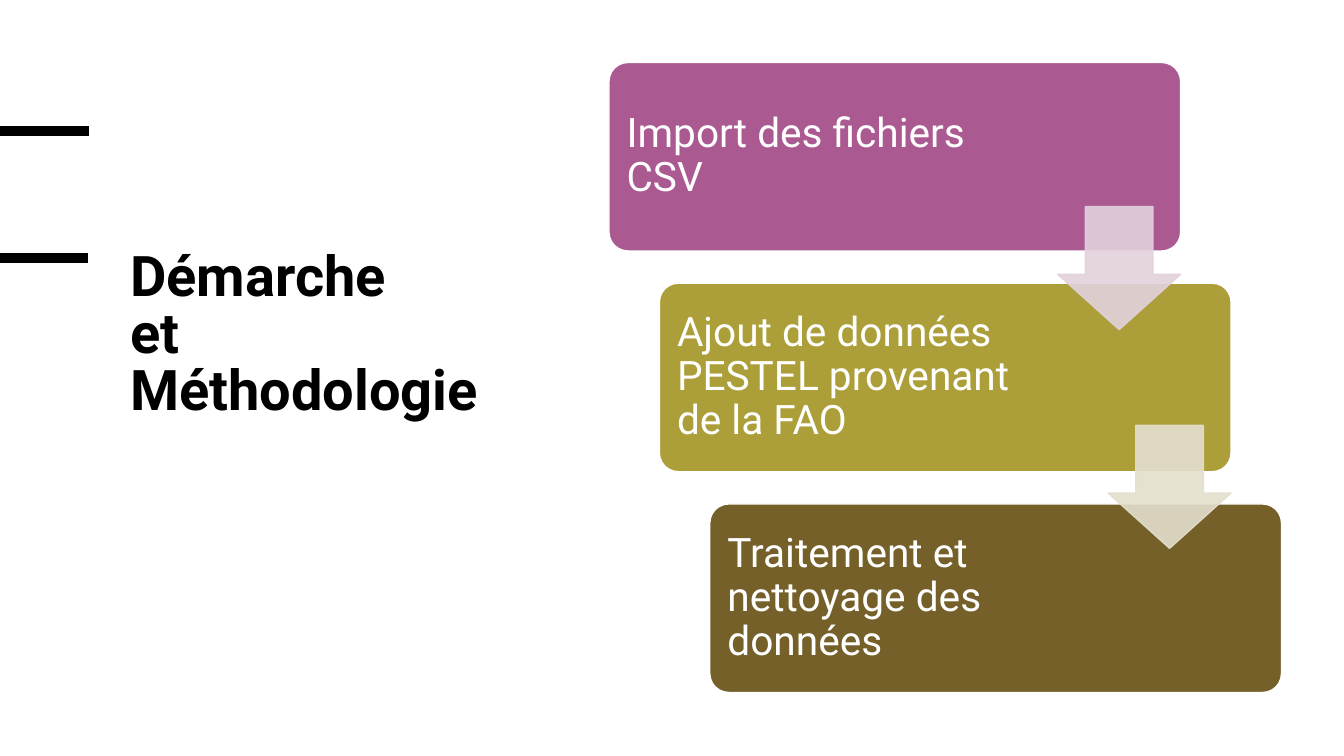
"""Build the "Démarche et Méthodologie" slide with its three-step staircase."""
from lxml import etree
from pptx import Presentation
from pptx.dml.color import RGBColor
from pptx.enum.shapes import MSO_CONNECTOR, MSO_SHAPE
from pptx.enum.text import MSO_ANCHOR, MSO_AUTO_SIZE, PP_ALIGN
from pptx.oxml.ns import qn
from pptx.util import Inches, Pt

STRAIGHT = MSO_CONNECTOR.STRAIGHT
ROUNDED = MSO_SHAPE.ROUNDED_RECTANGLE
DOWN_ARROW = MSO_SHAPE.DOWN_ARROW
TOP, MIDDLE = MSO_ANCHOR.TOP, MSO_ANCHOR.MIDDLE
NO_AUTO_SIZE = MSO_AUTO_SIZE.NONE
LEFT = PP_ALIGN.LEFT

STEP_X, STEP_Y = 0.5, 2.19
STEPS = [
    ("Import des fichiers CSV", "AB5991"),
    ("Ajout de données PESTEL provenant de la FAO", "AC9F39"),
    ("Traitement et nettoyage des données", "756029"),
]
ARROW_COLORS = ["E2D1DC", "E3DFCE"]


def color(value):
    return RGBColor.from_string(value)


def format_text(text_frame, size, text_color, spacing, bold=False):
    text_frame.word_wrap = True
    text_frame.auto_size = NO_AUTO_SIZE
    for paragraph in text_frame.paragraphs:
        paragraph.alignment = LEFT
        paragraph.line_spacing = spacing
        for run in paragraph.runs:
            run.font.name = "Roboto"
            run.font.size = Pt(size)
            run.font.bold = bold
            run.font.color.rgb = color(text_color)


presentation = Presentation()
presentation.slide_width = Inches(13.33)
presentation.slide_height = Inches(7.5)
slide = presentation.slides.add_slide(presentation.slide_layouts[5])

title = slide.shapes.title
title.left, title.top = Inches(1.19), Inches(2.44)
title.width, title.height = Inches(4.16), Inches(3.67)
title.text_frame.text = "Démarche\vet Méthodologie"
title.text_frame.vertical_anchor = TOP
format_text(title.text_frame, 40, "000000", 0.85, bold=True)

for start, top in [(0, 1.3), (-0.01, 2.56)]:
    bar = slide.shapes.add_connector(
        STRAIGHT, Inches(start), Inches(top), Inches(start + 0.88), Inches(top))
    bar.line.color.rgb = color("000000")
    bar.line.width = Pt(6.75)
    etree.SubElement(bar.element.spPr, qn("a:effectLst"))

for index, (label, fill) in enumerate(STEPS):
    card = slide.shapes.add_shape(
        ROUNDED, Inches(6.04 + index * STEP_X), Inches(0.62 + index * STEP_Y),
        Inches(5.67), Inches(1.87))
    card.adjustments[0] = 0.1
    card.shadow.inherit = False
    card.fill.solid()
    card.fill.fore_color.rgb = color(fill)
    card.line.color.rgb = color("FFFFFF")
    card.line.width = Pt(1)
    text_frame = card.text_frame
    text_frame.text = label
    text_frame.vertical_anchor = MIDDLE
    text_frame.margin_left = text_frame.margin_top = text_frame.margin_bottom = Inches(0.12)
    text_frame.margin_right = Inches(1.83)
    format_text(text_frame, 29, "FFFFFF", 0.9)

for index, fill in enumerate(ARROW_COLORS):
    arrow = slide.shapes.add_shape(
        DOWN_ARROW, Inches(10.49 + index * STEP_X), Inches(2.05 + index * 2.17),
        Inches(1.22), Inches(1.22))
    arrow.adjustments[0] = 0.55
    arrow.adjustments[1] = 0.45
    arrow.shadow.inherit = False
    arrow.fill.solid()
    arrow.fill.fore_color.rgb = color(fill)
    arrow.line.color.rgb = color(fill)
    arrow.line.width = Pt(1)
    for shade in arrow.element.spPr.iter(qn("a:srgbClr")):
        etree.SubElement(shade, qn("a:alpha"), val="90000")

presentation.save("out.pptx")
